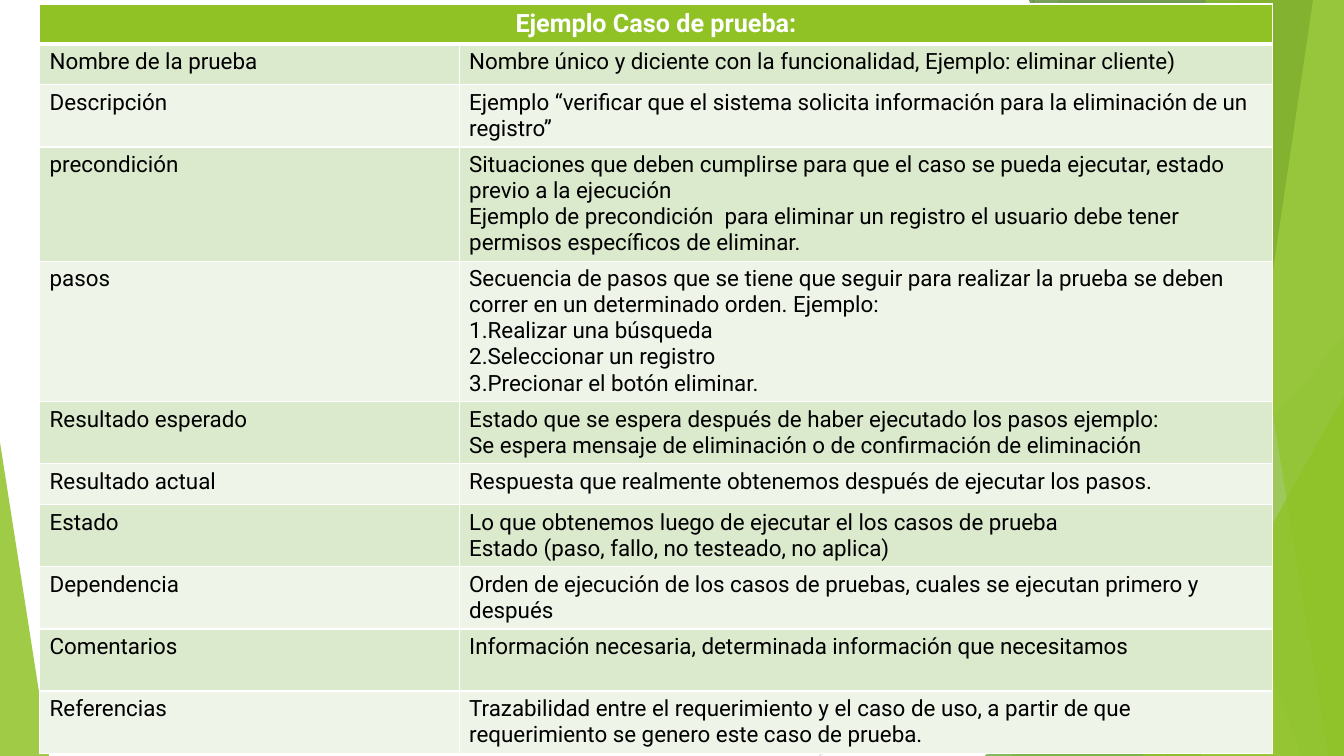
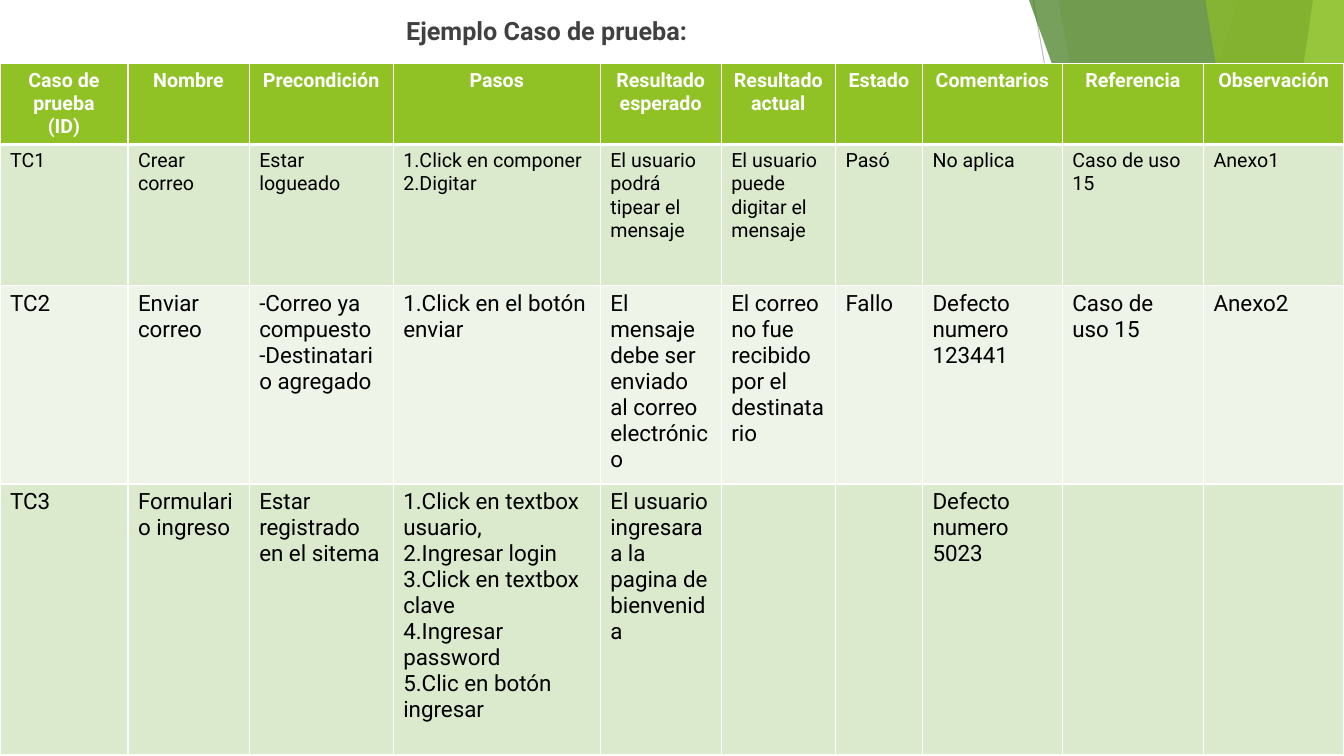
from lxml.etree import SubElement
from pptx import Presentation
from pptx.dml.color import RGBColor
from pptx.enum.shapes import MSO_CONNECTOR, MSO_SHAPE
from pptx.enum.text import PP_ALIGN
from pptx.oxml.ns import qn
from pptx.util import Pt

W, H = 960, 540
FONT = "Roboto"
WHITE, BLACK, DARK = "FFFFFF", "000000", "404040"
GREEN, LEAF, FOREST, LIME = "90C226", "54A021", "3F7819", "C0E474"
BANDS = ["DBE9CD", "EEF4E8"]
TITLE = "Ejemplo Caso de prueba:"

# Background lines: x1, y1, x2, y2, colour
LINES = [(738, 0, 834, H, "BFBFBF"), (W, 290, 585, H, "D9D9D9")]
# Facets reach the right edge: top-left x, bottom-left x, colour, opacity.
# Triangles: left, top, width, apex position, colour, opacity.
DECOR = [
    (884, 723, GREEN, 30),
    (756, 852, GREEN, 20),
    (703.5, 240, 256.5, 1, LEAF, 72),
    (735, 929.5, FOREST, 70),
    (938, 858, LIME, 70),
    (861, 949, GREEN, 65),
    (816.5, 283, 143.5, 1, GREEN, 80),
    (0, 316, 35, 0, GREEN, 85),
]


def paint(fill, color, opacity=100):
    fill.solid()
    fill.fore_color.rgb = RGBColor.from_string(color)
    if opacity < 100:
        clr = fill._xPr.find(qn("a:solidFill"))[0]
        SubElement(clr, qn("a:alpha"), val=str(opacity * 1000))


def add_grid(s, left, top, widths, heights, rows, sizes):
    """Add a table with a green header, banded rows and white borders."""
    table = s.shapes.add_table(len(rows), len(widths), Pt(left), Pt(top),
                               Pt(sum(widths)), Pt(sum(heights))).table
    table.horz_banding = False
    for column, width in zip(table.columns, widths):
        column.width = Pt(width)
    for i, (row, height, size) in enumerate(zip(rows, heights, sizes)):
        table.rows[i].height = Pt(height)
        for j, text in enumerate(row):
            cell = table.cell(i, j)
            cell.text = text
            tcPr = cell._tc.get_or_add_tcPr()
            for side in "LRTB":
                thick = (i, side) in [(0, "B"), (1, "T")]
                ln = SubElement(tcPr, qn(f"a:ln{side}"), w=str(Pt(3 if thick else 1)))
                paint_xml = SubElement(ln, qn("a:solidFill"))
                SubElement(paint_xml, qn("a:srgbClr"), val=WHITE)
            paint(cell.fill, BANDS[(i - 1) % 2] if i else GREEN)
            for p in cell.text_frame.paragraphs:
                p.alignment = PP_ALIGN.LEFT if i else PP_ALIGN.CENTER
                p.font.name = FONT
                p.font.size = Pt(size)
                p.font.bold = i == 0
                paint(p.font.fill, BLACK if i else WHITE)
    return table


prs = Presentation()
prs.slide_width, prs.slide_height = Pt(W), Pt(H)
slides = [prs.slides.add_slide(prs.slide_layouts[6]) for _ in range(2)]

# Shared background
for s in slides:
    for x1, y1, x2, y2, color in LINES:
        line = s.shapes.add_connector(MSO_CONNECTOR.STRAIGHT, Pt(x1), Pt(y1), Pt(x2), Pt(y2))
        paint(line.line.fill, color)
        line.line.width = Pt(0.75)
        SubElement(line._element.spPr, qn("a:effectLst"))
    for *place, color, opacity in DECOR:
        if len(place) == 2:
            x_top, x_bottom = place
            outline = s.shapes.build_freeform(Pt(x_top), 0)
            outline.add_line_segments([(Pt(W), 0), (Pt(W), Pt(H)), (Pt(x_bottom), Pt(H))])
            sp = outline.convert_to_shape()
        else:
            left, top, width, apex = place
            sp = s.shapes.add_shape(MSO_SHAPE.ISOSCELES_TRIANGLE, Pt(left), Pt(top),
                                    Pt(width), Pt(H - top))
            sp.adjustments[0] = apex
        sp.shadow.inherit = False
        sp.line.fill.background()
        paint(sp.fill, color, opacity)

# Slide 1: fields of a test case
fields = [
    (TITLE, ""),
    ("Nombre de la prueba",
     "Nombre único y diciente con la funcionalidad, Ejemplo: eliminar cliente)"),
    ("Descripción",
     "Ejemplo “verificar que el sistema solicita información para la eliminación de un registro”"),
    ("precondición",
     "Situaciones que deben cumplirse para que el caso se pueda ejecutar, estado previo a la "
     "ejecución\nEjemplo de precondición  para eliminar un registro el usuario debe tener "
     "permisos específicos de eliminar."),
    ("pasos",
     "Secuencia de pasos que se tiene que seguir para realizar la prueba se deben correr en un "
     "determinado orden. Ejemplo:\n1.Realizar una búsqueda\n2.Seleccionar un registro\n"
     "3.Precionar el botón eliminar."),
    ("Resultado esperado",
     "Estado que se espera después de haber ejecutado los pasos ejemplo:\n"
     "Se espera mensaje de eliminación o de confirmación de eliminación"),
    ("Resultado actual", "Respuesta que realmente obtenemos después de ejecutar los pasos."),
    ("Estado",
     "Lo que obtenemos luego de ejecutar el los casos de prueba\n"
     "Estado (paso, fallo, no testeado, no aplica)"),
    ("Dependencia",
     "Orden de ejecución de los casos de pruebas, cuales se ejecutan primero y después"),
    ("Comentarios", "Información necesaria, determinada información que necesitamos"),
    ("Referencias",
     "Trazabilidad entre el requerimiento y el caso de uso, a partir de que requerimiento se "
     "genero este caso de prueba."),
]
heights = [28.3, 29.3, 44.3, 81.5, 100, 44.3, 29.3, 44.3, 44.3, 44.3, 44.3]
table = add_grid(slides[0], 28.3, 2.9, [299.7, 581], heights, fields, [18] + [16] * 10)
table.cell(0, 0).merge(table.cell(0, 1))

# Slide 2: sample test cases
s = slides[1]
tf = s.shapes.add_textbox(Pt(52), Pt(7.2), Pt(677), Pt(38)).text_frame
tf.word_wrap = True
p = tf.paragraphs[0]
p.text = TITLE
p.alignment = PP_ALIGN.CENTER
p.font.name = FONT
p.font.size = Pt(18)
p.font.bold = True
paint(p.font.fill, DARK)

cases = [
    ("Caso de prueba\n(ID)", "Nombre", "Precondición", "Pasos", "Resultado esperado",
     "Resultado actual", "Estado", "Comentarios", "Referencia", "Observación"),
    ("TC1", "Crear correo", "Estar logueado", "1.Click en componer\n2.Digitar",
     "El usuario podrá tipear el mensaje", "El usuario puede digitar el mensaje",
     "Pasó", "No aplica", "Caso de uso 15", "Anexo1"),
    ("TC2", "Enviar correo", "-Correo ya compuesto\n-Destinatario agregado",
     "1.Click en el botón enviar", "El mensaje debe ser enviado al correo electrónico",
     "El correo no fue recibido por el destinatario", "Fallo", "Defecto numero 123441",
     "Caso de uso 15", "Anexo2"),
    ("TC3", "Formulario ingreso", "Estar registrado en el sitema",
     "1.Click en textbox usuario,\n2.Ingresar login\n3.Click en textbox clave\n"
     "4.Ingresar password\n5.Clic en botón ingresar",
     "El usuario ingresara a la pagina de bienvenida", "", "", "Defecto numero 5023", "", ""),
]
widths = [91.4, 86.6, 102.9, 147.9, 86.4, 81.6, 62.2, 99.9, 100.8, 100.3]
add_grid(s, 0, 45.5, widths, [56.2, 101, 137.2, 193.6], cases, [14, 14, 16, 16])

prs.save("out.pptx")
